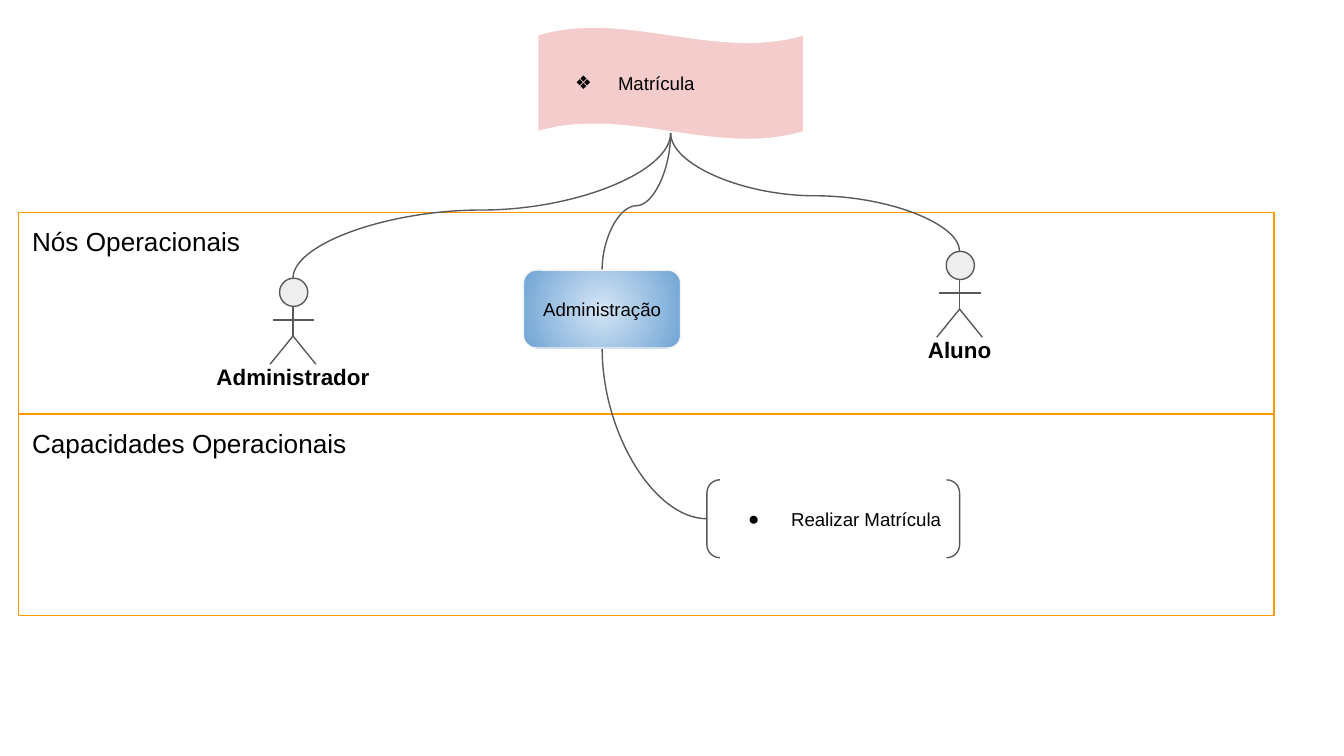
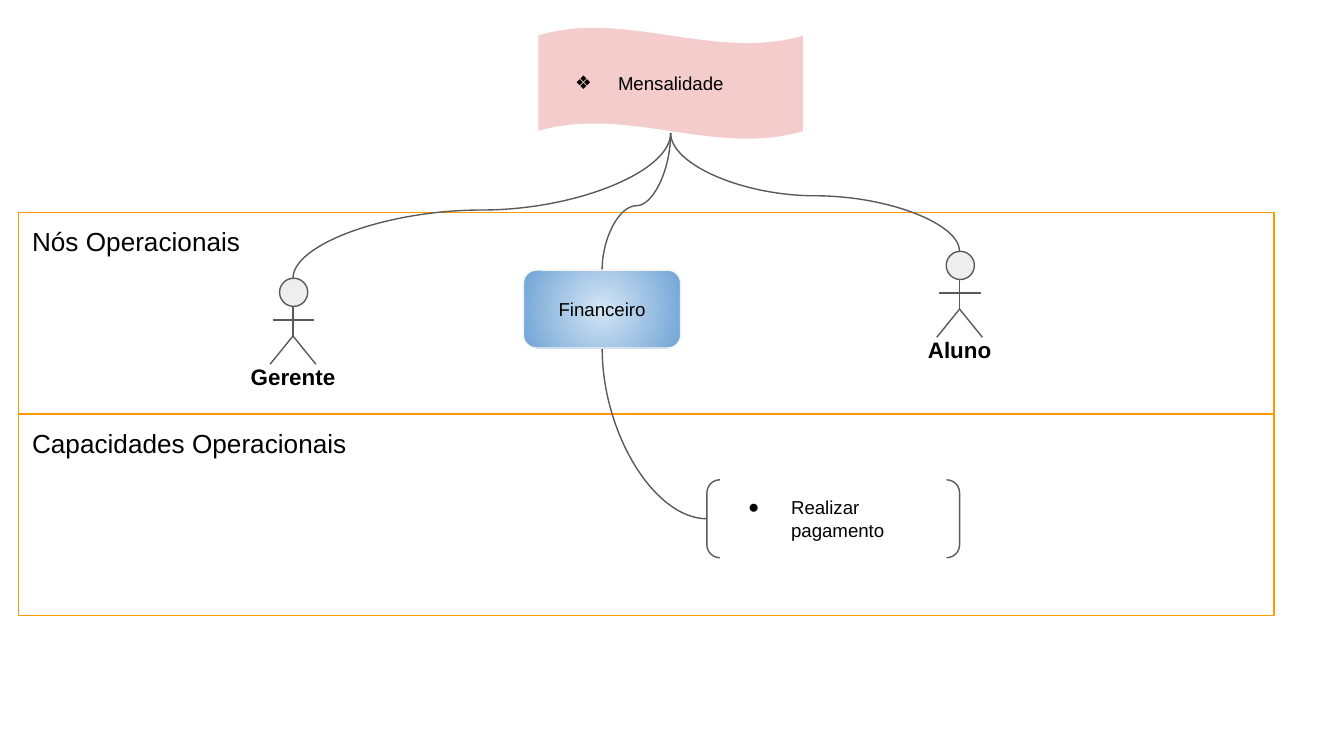
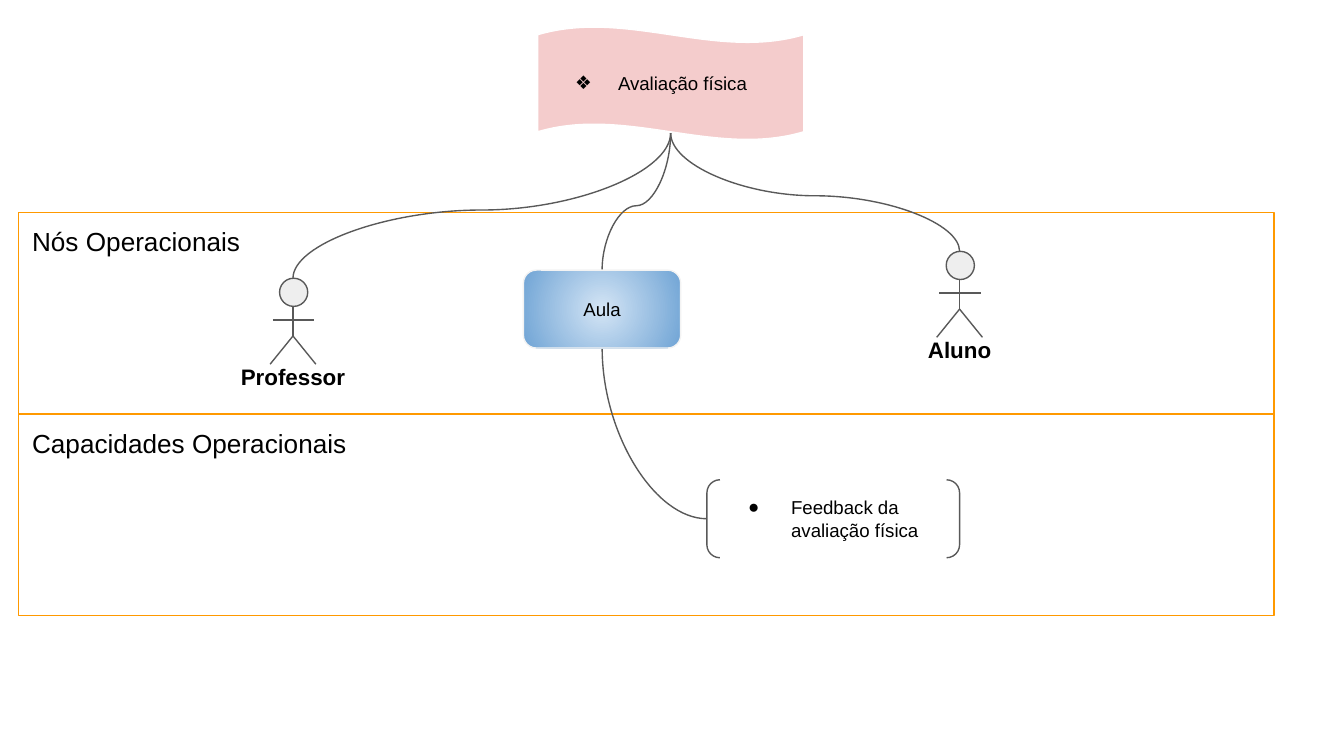
import lxml.etree
import pptx
import pptx.dml.color
import pptx.enum.shapes
import pptx.enum.text
import pptx.oxml.ns
import pptx.util

Inches = pptx.util.Inches
SHAPE = pptx.enum.shapes.MSO_SHAPE
LINK = pptx.enum.shapes.MSO_CONNECTOR
ALIGN = pptx.enum.text.PP_ALIGN
ANCHOR = pptx.enum.text.MSO_ANCHOR

FONT = "Arial"
COLORS = {
    "text": "000000",
    "panel": "FF9900",
    "banner": "F4CCCC",
    "banner_line": "FFFFFF",
    "stroke": "595959",
    "head": "EEEEEE",
    "node_center": "D4E5F5",
    "node_edge": "70A4D5",
    "node_line": "F3F3F3",
}
PANEL_LEFT, PANEL_TOP, PANEL_WIDTH, PANEL_HEIGHT = 0.14, 1.58, 9.34, 1.5
PANELS = ["Nós Operacionais", "Capacidades Operacionais"]
BANNER_BOTTOM = (4.99, 0.99)
NODE_X, NODE_TOP, NODE_HEIGHT = 4.48, 2.01, 0.58
CAPABILITY_LEFT, CAPABILITY_TOP, CAPABILITY_HEIGHT = 5.26, 3.57, 0.58
STAFF_TOP = (2.18, 2.07)
STUDENT_TOP = (7.14, 1.87)

SLIDES = [
    ("Matrícula", "Administrador", "Administração", "Realizar Matrícula"),
    ("Mensalidade", "Gerente", "Financeiro", "Realizar pagamento"),
    ("Avaliação física", "Professor", "Aula", "Feedback da avaliação física"),
]


def rgb(name):
    return pptx.dml.color.RGBColor.from_string(COLORS[name])


def add_child(parent, tag, **attributes):
    return lxml.etree.SubElement(parent, pptx.oxml.ns.qn(tag), attributes)


def set_line(sp, color):
    sp.line.color.rgb = rgb(color)
    sp.line.width = pptx.util.Pt(0.75)


def add_shape(shapes, kind, left, top, width, height, line, fill=None):
    sp = shapes.add_shape(kind, Inches(left), Inches(top), Inches(width), Inches(height))
    sp.shadow.inherit = False
    set_line(sp, line)
    if fill:
        sp.fill.solid()
        sp.fill.fore_color.rgb = rgb(fill)
    else:
        sp.fill.background()
    return sp


def set_text(sp, text, size, align=ALIGN.LEFT, anchor=ANCHOR.TOP, bold=False, bullet=None):
    tf = sp.text_frame
    tf.word_wrap = True
    tf.vertical_anchor = anchor
    tf.margin_left = tf.margin_right = tf.margin_top = tf.margin_bottom = Inches(0.1)
    p = tf.paragraphs[0]
    p.alignment = align
    if bullet:
        pPr = p._p.get_or_add_pPr()
        pPr.set("marL", str(Inches(0.5)))
        pPr.set("indent", str(Inches(-0.32)))
        add_child(add_child(pPr, "a:buClr"), "a:srgbClr", val=COLORS["text"])
        add_child(pPr, "a:buFont", typeface=FONT)
        add_child(pPr, "a:buChar", char=bullet)
    r = p.add_run()
    r.text = text
    r.font.name = FONT
    r.font.size = pptx.util.Pt(size)
    r.font.bold = bold
    r.font.color.rgb = rgb("text")


def add_line(shapes, kind, x1, y1, x2, y2):
    c = shapes.add_connector(kind, Inches(x1), Inches(y1), Inches(x2), Inches(y2))
    set_line(c, "stroke")
    add_child(c._element.spPr, "a:effectLst")
    return c


def add_curve(s, start, end, bend=None):
    (x1, y1), (x2, y2) = start, end
    width, height = abs(y2 - y1), abs(x2 - x1)
    left, top = (x1 + x2 - width) / 2, (y1 + y2 - height) / 2
    c = add_line(s.shapes, LINK.CURVE, left, top, left + width, top + height)
    rightward, rising = x2 > x1, y2 < y1
    xfrm = c._element.spPr.find(pptx.oxml.ns.qn("a:xfrm"))
    xfrm.set("rot", str((270 if rightward else 90) * 60000))
    if rightward != rising:
        xfrm.set("flipH", "1")
    geom = c._element.spPr.find(pptx.oxml.ns.qn("a:prstGeom"))
    if bend is None:
        geom.set("prst", "curvedConnector2")
    else:
        guides = geom.find(pptx.oxml.ns.qn("a:avLst"))
        add_child(guides, "a:gd", name="adj1", fmla=f"val {round(bend * 100000)}")


def add_panel(s, row):
    top = PANEL_TOP + row * PANEL_HEIGHT
    sp = add_shape(s.shapes, SHAPE.RECTANGLE, PANEL_LEFT, top, PANEL_WIDTH, PANEL_HEIGHT, "panel")
    set_text(sp, PANELS[row], 14)


def add_banner(s, text):
    sp = add_shape(s.shapes, SHAPE.WAVE, 4, 0.2, 1.98, 0.84, "banner_line", "banner")
    sp.adjustments[0] = 0.07
    set_text(sp, text, 10, anchor=ANCHOR.MIDDLE, bullet="❖")


def add_actor(s, head_top, name, label_width):
    x, y = head_top
    shapes = s.shapes.add_group_shape().shapes
    add_shape(shapes, SHAPE.FLOWCHART_CONNECTOR, x - 0.1, y, 0.21, 0.21, "stroke", "head")
    hip = y + 0.43
    limbs = [
        (x, y + 0.21, x, hip),
        (x - 0.15, y + 0.31, x + 0.16, y + 0.31),
        (x, hip, x - 0.17, y + 0.64),
        (x + 0.17, y + 0.64, x, hip),
    ]
    for limb in limbs:
        add_line(shapes, LINK.STRAIGHT, *limb)
    label = shapes.add_textbox(
        Inches(x - label_width / 2), Inches(y + 0.53), Inches(label_width), Inches(0.38)
    )
    set_text(label, name, 12, ALIGN.CENTER, bold=True)


def add_node(s, text):
    width = 1.17
    sp = add_shape(
        s.shapes, SHAPE.ROUNDED_RECTANGLE, NODE_X - width / 2, NODE_TOP, width, NODE_HEIGHT, "node_line"
    )
    sp.fill.gradient()
    for stop, color in zip(sp.fill.gradient_stops, ("node_center", "node_edge")):
        stop.color.rgb = rgb(color)
    grad = sp._element.spPr.find(pptx.oxml.ns.qn("a:gradFill"))
    grad.remove(grad.find(pptx.oxml.ns.qn("a:lin")))
    circle = add_child(grad, "a:path", path="circle")
    add_child(circle, "a:fillToRect", l="50000", t="50000", r="50000", b="50000")
    set_text(sp, text, 10, ALIGN.CENTER, ANCHOR.MIDDLE)


def add_capability(s, text):
    sp = add_shape(
        s.shapes, SHAPE.DOUBLE_BRACKET, CAPABILITY_LEFT, CAPABILITY_TOP, 1.88, CAPABILITY_HEIGHT, "stroke"
    )
    set_text(sp, text, 10, anchor=ANCHOR.MIDDLE, bullet="●")


def add_diagram(prs, activity, staff, node, capability):
    s = prs.slides.add_slide(prs.slide_layouts[6])
    add_panel(s, 0)
    add_banner(s, activity)
    add_actor(s, STAFF_TOP, staff, 1.39)
    add_curve(s, (NODE_X, NODE_TOP), BANNER_BOTTOM, 0.47)
    add_panel(s, 1)
    add_curve(s, STAFF_TOP, BANNER_BOTTOM, 0.47)
    add_actor(s, STUDENT_TOP, "Aluno", 0.9)
    add_curve(s, STUDENT_TOP, BANNER_BOTTOM, 0.47)
    capability_side = (CAPABILITY_LEFT, CAPABILITY_TOP + CAPABILITY_HEIGHT / 2)
    add_curve(s, (NODE_X, NODE_TOP + NODE_HEIGHT), capability_side)
    add_capability(s, capability)
    add_node(s, node)


def main():
    prs = pptx.Presentation()
    prs.slide_width = Inches(10)
    prs.slide_height = Inches(10 * 9 / 16)
    for content in SLIDES:
        add_diagram(prs, *content)
    prs.save("out.pptx")


if __name__ == "__main__":
    main()
